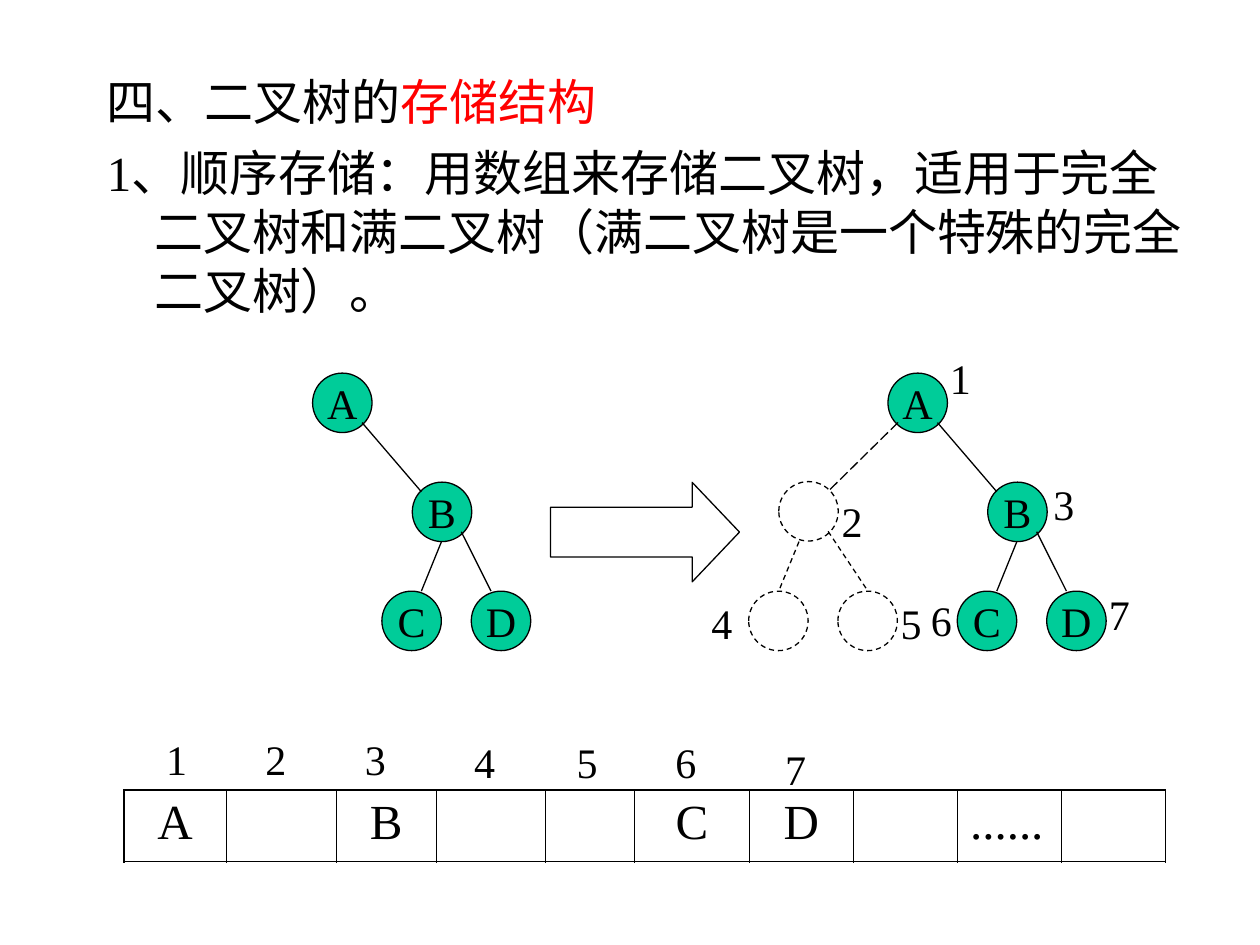
from lxml.etree import SubElement
from pptx import Presentation
from pptx.dml.color import RGBColor
from pptx.enum.dml import MSO_LINE as Dash
from pptx.enum.shapes import MSO_CONNECTOR as Connector, MSO_SHAPE as Shape
from pptx.enum.text import MSO_ANCHOR as Anchor, MSO_AUTO_SIZE as AutoSize, PP_ALIGN as Align
from pptx.oxml import parse_xml
from pptx.oxml.ns import nsdecls, qn
from pptx.util import Pt

BLACK, RED, GREEN = "000000", "FF0000", "00CC99"
NODE_SIZE = 34
NODE_OFFSETS = {"A": (0, 0), "B": (57, 62.3), "C": (39.6, 124.6), "D": (90.7, 124.6)}
EDGE_OFFSETS = [
    (28.3, 28.3, 62.2, 67.8),
    (73.6, 96.5, 62.2, 124.6),
    (85, 90.7, 102, 124.6),
]
LEFT_ROOT = (178.6, 213.2)
RIGHT_ROOT = (507.4, 213.2)
EMPTY_NODES = [(445, 275.2), (427.8, 337.8), (478.8, 337.8)]
EMPTY_EDGES = [
    (513.2, 241.4, 473, 281, Dash.LONG_DASH),
    (456.6, 309.5, 445, 337.8, Dash.DASH),
    (473.2, 303.6, 496, 337.8, Dash.DASH),
]
TREE_INDEXES = [
    ("1", 535.7, 198), ("2", 473.8, 279.4), ("3", 594.9, 269.8), ("4", 399.4, 337.8),
    ("5", 507.6, 337.8), ("6", 524.9, 336), ("7", 626.6, 332.6),
]
ARRAY_INDEXES = [
    ("1", 87.8, 415.4), ("2", 144.6, 415.4), ("3", 201.4, 415.4), ("4", 263.8, 417.6),
    ("5", 322.4, 417.6), ("6", 378.9, 417.6), ("7", 441.5, 421.2),
]
ARRAY_VALUES = ["A", "", "B", "", "", "C", "D", "", "......", ""]
ARRAY_WIDTHS = [58.4, 63, 57, 62.4, 51, 65.6, 59.5, 59.5, 59.5, 59.4]


def color(value):
    return RGBColor.from_string(value)


def apply(target, values):
    for name, value in values.items():
        setattr(target, name, value)


def add_run(paragraph, text, size, hex_color=BLACK):
    run = paragraph.add_run()
    run.text = text
    apply(run.font, {"name": "Times New Roman", "size": Pt(size)})
    run.font.color.rgb = color(hex_color)


def style_line(line, dash=None):
    line.color.rgb = color(BLACK)
    apply(line, {"width": Pt(0.75), "dash_style": dash})


def add_outline(slide, kind, left, top, width, height, fill=None, dash=None):
    shape = slide.shapes.add_shape(kind, Pt(left), Pt(top), Pt(width), Pt(height))
    shape.shadow.inherit = False
    if fill:
        shape.fill.solid()
        shape.fill.fore_color.rgb = color(fill)
    else:
        shape.fill.background()
    style_line(shape.line, dash)
    return shape


def add_node(slide, left, top, label):
    shape = add_outline(slide, Shape.OVAL, left, top, NODE_SIZE, NODE_SIZE, GREEN)
    apply(shape.text_frame, {"word_wrap": False, "vertical_anchor": Anchor.MIDDLE})
    paragraph = shape.text_frame.paragraphs[0]
    paragraph.alignment = Align.CENTER
    add_run(paragraph, label, 24)


def add_edge(slide, x1, y1, x2, y2, dash=None):
    edge = slide.shapes.add_connector(Connector.STRAIGHT, Pt(x1), Pt(y1), Pt(x2), Pt(y2))
    style_line(edge.line, dash)
    SubElement(edge.line._get_or_add_ln().getparent(), qn("a:effectLst"))


def add_tree(slide, left, top):
    for label, (dx, dy) in NODE_OFFSETS.items():
        add_node(slide, left + dx, top + dy, label)
    for x1, y1, x2, y2 in EDGE_OFFSETS:
        add_edge(slide, left + x1, top + y1, left + x2, top + y2)


def add_empty_subtree(slide):
    for left, top in EMPTY_NODES:
        add_outline(slide, Shape.OVAL, left, top, NODE_SIZE, NODE_SIZE, dash=Dash.DASH)
    for edge in EMPTY_EDGES:
        add_edge(slide, *edge)


def add_index(slide, text, left, top):
    box = slide.shapes.add_textbox(Pt(left), Pt(top), Pt(26), Pt(36))
    apply(box.text_frame, {"word_wrap": False, "auto_size": AutoSize.SHAPE_TO_FIT_TEXT})
    add_run(box.text_frame.paragraphs[0], text, 24)


def add_heading(slide, paragraphs):
    box = slide.shapes.add_textbox(Pt(54), Pt(37.4), Pt(635), Pt(160))
    frame = box.text_frame
    frame.word_wrap = True
    for number, runs in enumerate(paragraphs):
        paragraph = frame.add_paragraph() if number else frame.paragraphs[0]
        properties = paragraph._p.get_or_add_pPr()
        properties.set("marL", str(Pt(27)))
        properties.set("indent", str(Pt(-27)))
        paragraph.space_before = Pt(7 if number else 0)
        for text, hex_color in runs:
            add_run(paragraph, text, 28, hex_color)


def set_borders(cell, widths):
    properties = cell._tc.get_or_add_tcPr()
    for position, (side, width) in enumerate(zip("LRTB", widths)):
        border = parse_xml(
            f'<a:ln{side} {nsdecls("a")} w="{Pt(width)}"><a:solidFill>'
            f'<a:srgbClr val="{BLACK}"/></a:solidFill></a:ln{side}>'
        )
        properties.insert(position, border)


def add_array(slide):
    count = len(ARRAY_VALUES)
    frame = slide.shapes.add_table(1, count, Pt(70.8), Pt(451.4), Pt(sum(ARRAY_WIDTHS)), Pt(41))
    table = frame.table
    apply(table, {"first_row": False, "horz_banding": False})
    outer, inner = 1.08, 0.45
    for column, (value, width) in enumerate(zip(ARRAY_VALUES, ARRAY_WIDTHS)):
        table.columns[column].width = Pt(width)
        cell = table.cell(0, column)
        cell.fill.background()
        left = inner if column else outer
        right = inner if column < count - 1 else outer
        set_borders(cell, (left, right, outer, outer))
        if value:
            paragraph = cell.text_frame.paragraphs[0]
            paragraph.alignment = Align.CENTER if value.isalpha() else Align.LEFT
            add_run(paragraph, value, 28)


def main():
    presentation = Presentation()
    apply(presentation, {"slide_width": Pt(720), "slide_height": Pt(540)})
    slide = presentation.slides.add_slide(presentation.slide_layouts[6])
    add_heading(slide, [
        [("四、二叉树的", BLACK), ("存储结构", RED)],
        [("1、顺序存储：用数组来存储二叉树，适用于完全二叉树和满二叉树"
          "（满二叉树是一个特殊的完全二叉树）。", BLACK)],
    ])
    add_tree(slide, *RIGHT_ROOT)
    add_empty_subtree(slide)
    add_tree(slide, *LEFT_ROOT)
    arrow = add_outline(slide, Shape.RIGHT_ARROW, 314.6, 275.6, 108, 56.9)
    arrow.adjustments[1] = 0.475
    add_array(slide)
    for index in TREE_INDEXES + ARRAY_INDEXES:
        add_index(slide, *index)
    presentation.save("out.pptx")


if __name__ == "__main__":
    main()
